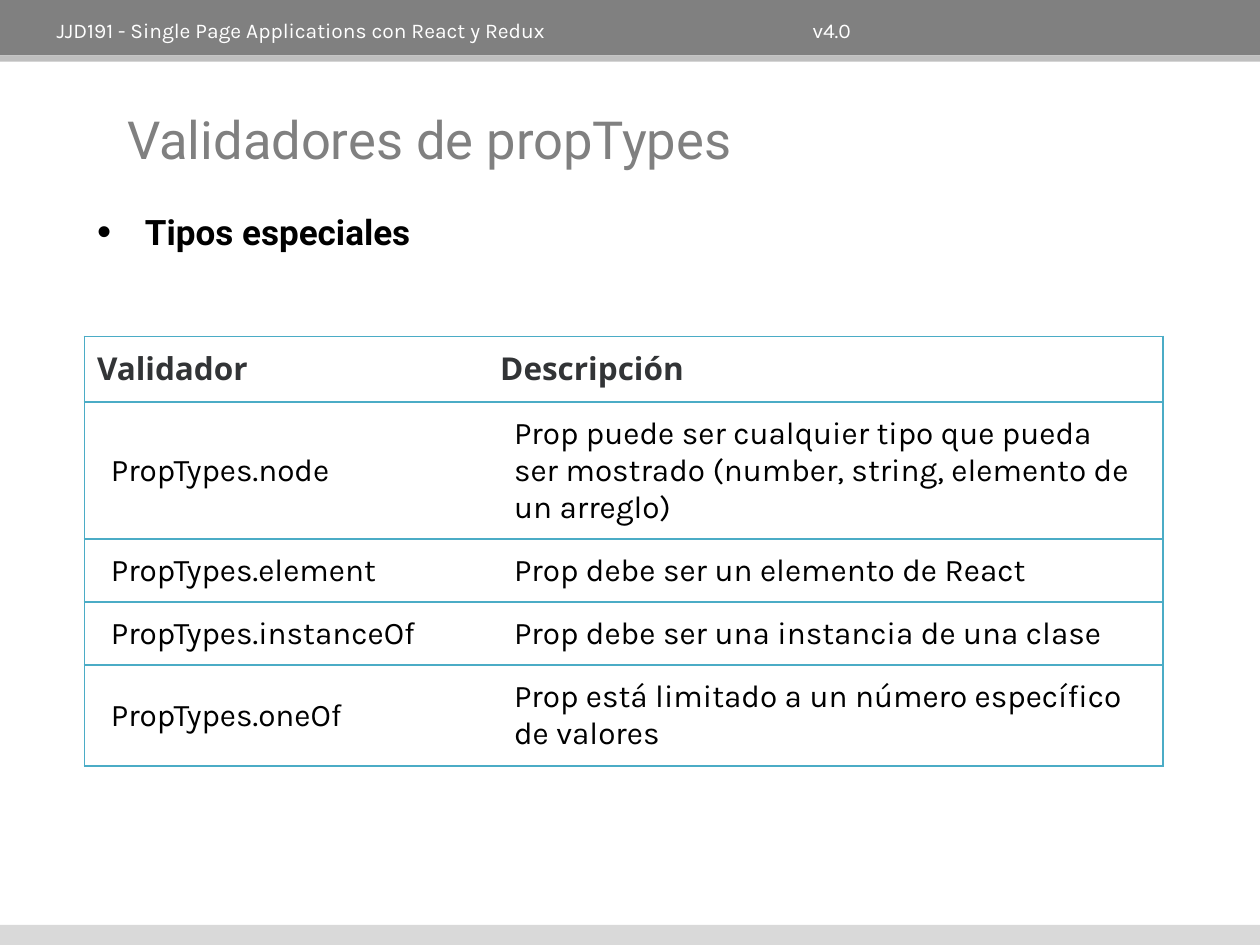
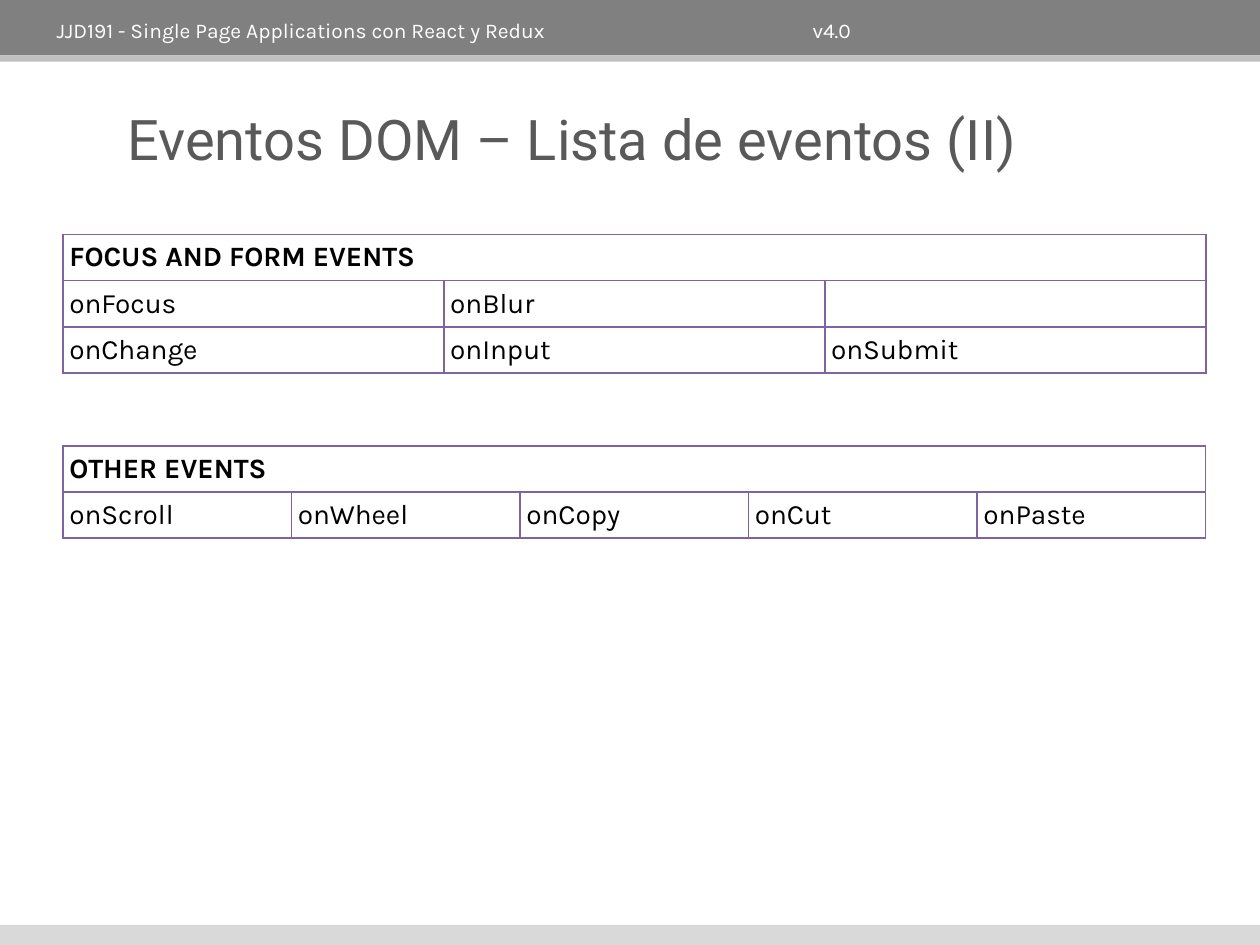
"""Build two course slides on React validators and DOM events."""
from lxml import etree
from pptx import Presentation, util as u
from pptx.dml.color import RGBColor
from pptx.enum import shapes, text
from pptx.oxml.ns import qn

WIDE, HIGH = 10, 7.5
GREY, BLACK, WHITE = "808080", "000000", "FFFFFF"
TEAL, PLUM = "4BACC6", "8064A2"
PLAIN = "{2D5ABB26-0587-4C30-8999-92F81FD0307C}"

HEADER = "JJD191 - Single Page Applications con React y Redux \t\t\tv4.0"
TABS = (4, 5, 6)
BANDS = [(0, 0.44, GREY), (0.44, 0.05, "BFBFBF"), (HIGH - 0.16, 0.16, "D9D9D9")]

TYPES = [
    ("Validador", "Descripción"),
    ("PropTypes.node", "Prop puede ser cualquier tipo que pueda ser mostrado "
     "(number, string, elemento de un arreglo)"),
    ("PropTypes.element", "Prop debe ser un elemento de React"),
    ("PropTypes.instanceOf", "Prop debe ser una instancia de una clase"),
    ("PropTypes.oneOf", "Prop está limitado a un número específico de valores"),
]
TYPE_COLS = (3.2, 5.36)
TYPE_ROWS = (0.52, 1.09, 0.5, 0.5, 0.8)

EVENTS = [
    (1.86, "FOCUS AND FORM EVENTS",
     [("onFocus", "onBlur", ""), ("onChange", "onInput", "onSubmit")]),
    (3.54, "OTHER EVENTS",
     [("onScroll", "onWheel", "onCopy", "onCut", "onPaste")]),
]
EVENT_LEFT, EVENT_WIDE, EVENT_ROW = 0.5, 9.07, 0.365


def rgb(code):
    return RGBColor.from_string(code)


def box(*nums):
    return [u.Inches(n) for n in nums]


def write(para, words, size, face, code, bold=False):
    run = para.add_run()
    run.text = words
    font = run.font
    font.size, font.name, font.bold = u.Pt(size), face, bold
    font.color.rgb = rgb(code)


def place(shape, *nums):
    shape.left, shape.top, shape.width, shape.height = box(*nums)


def set_title(slide, words, width, size, code):
    title = slide.shapes.title
    place(title, 0.91, 0.76, width, 0.68)
    title.text_frame.vertical_anchor = text.MSO_ANCHOR.MIDDLE
    para = title.text_frame.paragraphs[0]
    para.alignment = text.PP_ALIGN.LEFT
    write(para, words, size, "Roboto", code)


def add_bands(deck, slide):
    parts = []
    for top, high, code in BANDS:
        band = slide.shapes.add_shape(shapes.MSO_SHAPE.RECTANGLE, *box(0, top, WIDE, high))
        band.shadow.inherit = False
        band.fill.solid()
        band.fill.fore_color.rgb = rgb(code)
        band.line.fill.background()
        parts.append(band)
    label = slide.shapes.add_textbox(*box(0.35, 0.09, 8.45, 0.31))
    label.text_frame.word_wrap = True
    para = label.text_frame.paragraphs[0]
    stops = etree.SubElement(para._p.get_or_add_pPr(), qn("a:tabLst"))
    for stop in TABS:
        etree.SubElement(stops, qn("a:tab"), pos=str(u.Inches(stop)), algn="l")
    write(para, HEADER, 12, "Karla", WHITE)
    tree = deck.slide_master.shapes.element
    for num, part in enumerate(parts + [label]):
        part.element.nvSpPr.cNvPr.set("id", str(100 + num))
        tree.insert(2 + num, part.element)


def add_grid(slide, left, top, cols, rows):
    frame = slide.shapes.add_table(len(rows), len(cols), *box(left, top, sum(cols), sum(rows)))
    grid = frame.table
    grid.first_row = grid.horz_banding = False
    frame.element.find(".//" + qn("a:tableStyleId")).text = PLAIN
    for col, wide in zip(grid.columns, cols):
        col.width = u.Inches(wide)
    for row, high in zip(grid.rows, rows):
        row.height = u.Inches(high)
    return grid


def edge(cell, sides, code):
    props = cell._tc.get_or_add_tcPr()
    for side in sides:
        line = etree.SubElement(props, qn("a:ln" + side), w=str(u.Pt(1)))
        fill = etree.SubElement(line, qn("a:solidFill"))
        etree.SubElement(fill, qn("a:srgbClr"), val=code)


def pad(cell, across, top, base, anchor):
    cell.margin_left = cell.margin_right = u.Inches(across)
    cell.margin_top, cell.margin_bottom = u.Inches(top), u.Inches(base)
    cell.vertical_anchor = anchor


def add_types(slide):
    grid = add_grid(slide, 0.67, 2.67, TYPE_COLS, TYPE_ROWS)
    for r, row in enumerate(TYPES):
        for c, words in enumerate(row):
            cell = grid.cell(r, c)
            edge(cell, "RTB" if c else "LTB", TEAL)
            cell.fill.solid()
            cell.fill.fore_color.rgb = rgb(WHITE)
            inset = (0.21, 0.1, 0.1) if r else (0.1, 0.08, 0.09)
            pad(cell, *inset, text.MSO_ANCHOR.MIDDLE)
            style = ("Karla", BLACK) if r else ("Open Sans", "323436", True)
            write(cell.text_frame.paragraphs[0], words, 18, *style)


def add_events(slide, top, head, names):
    count = len(names[0])
    rows = [(head,) + ("",) * (count - 1)] + names
    grid = add_grid(slide, EVENT_LEFT, top, [EVENT_WIDE / count] * count,
                    [EVENT_ROW] * len(rows))
    for r, row in enumerate(rows):
        for c, words in enumerate(row):
            cell = grid.cell(r, c)
            edge(cell, "LRTB", PLUM)
            cell.fill.background()
            pad(cell, 0.05, 0.05, 0.05, text.MSO_ANCHOR.BOTTOM)
            para = cell.text_frame.paragraphs[0]
            if words:
                write(para, words, 16, "Karla", BLACK, r == 0)
            else:
                etree.SubElement(para._p, qn("a:endParaRPr"), sz="1600")
    grid.cell(0, 0).merge(grid.cell(0, count - 1))


def add_topic(body, words):
    place(body, 0.67, 1.62, 8.55, 5.2)
    para = body.text_frame.paragraphs[0]
    props = para._p.get_or_add_pPr()
    props.set("marL", str(u.Inches(0.38)))
    props.set("indent", str(-u.Inches(0.38)))
    para.space_before = u.Pt(0)
    etree.SubElement(props, qn("a:buSzPct"), val="115000")
    etree.SubElement(props, qn("a:buChar"), char="•")
    write(para, words, 20, "Roboto", BLACK, True)


def main():
    deck = Presentation()
    deck.slide_width, deck.slide_height = box(WIDE, HIGH)

    slide = deck.slides.add_slide(deck.slide_layouts[1])
    add_bands(deck, slide)
    set_title(slide, "Validadores de propTypes", 6.47, 30, GREY)
    add_topic(slide.placeholders[1], "Tipos especiales")
    add_types(slide)

    slide = deck.slides.add_slide(deck.slide_layouts[5])
    set_title(slide, "Eventos DOM – Lista de eventos (II)", 7.72, 32, "595959")
    for block in EVENTS:
        add_events(slide, *block)

    deck.save("out.pptx")


if __name__ == "__main__":
    main()
